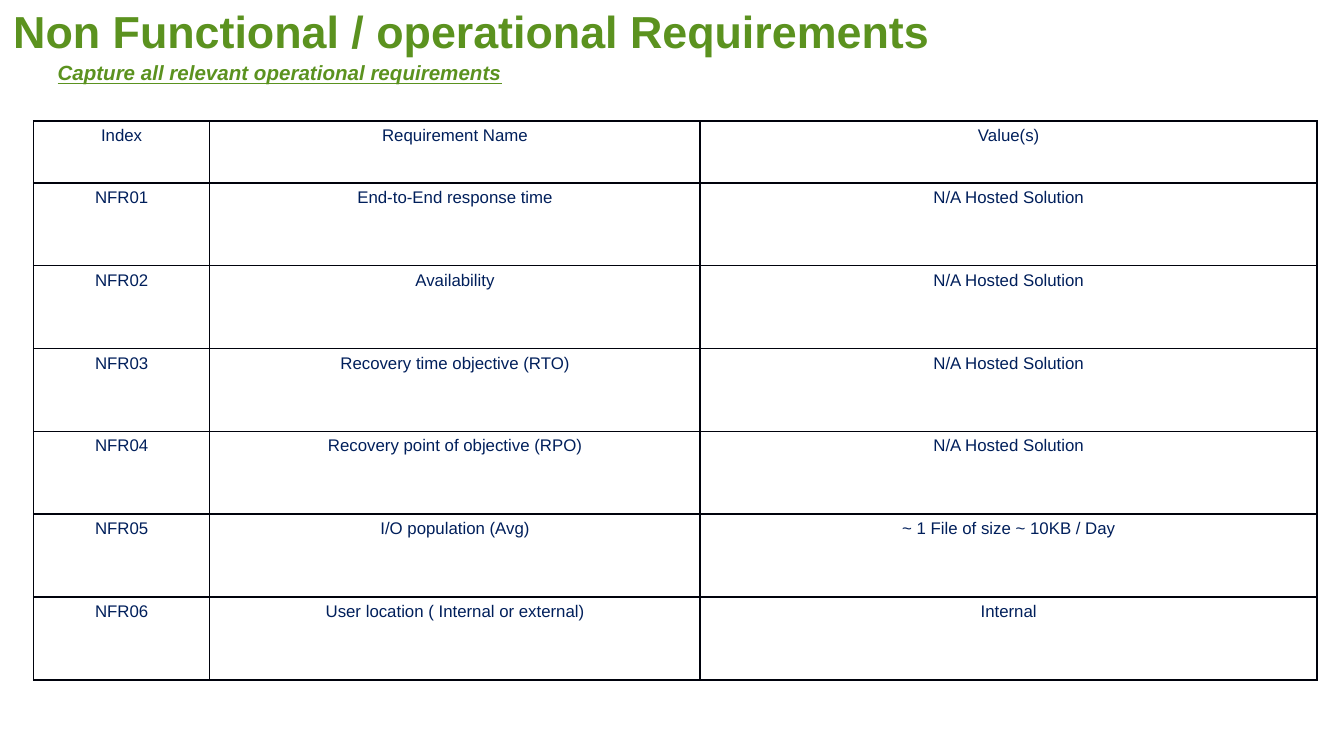
"""Build the non-functional requirements slide."""
from dataclasses import dataclass

from lxml.etree import SubElement
from pptx import Presentation
from pptx.dml.color import RGBColor
from pptx.enum.text import MSO_AUTO_SIZE, PP_ALIGN
from pptx.oxml.ns import qn
from pptx.util import Inches, Pt

GREEN = RGBColor(0x5B, 0x92, 0x1F)
NAVY = RGBColor(0x00, 0x1F, 0x5B)
BORDER = RGBColor(0x00, 0x02, 0x0C)
FONT = "Arial"
COLUMN_WIDTHS = (1.31, 3.65, 4.59)
TABLE_HEIGHT, HEADER_HEIGHT = 4.16, 0.46
HOSTED = "N/A Hosted Solution"


@dataclass(frozen=True)
class Heading:
    text: str
    left: float
    top: float
    width: float
    height: float
    size: int
    emphasis: bool = False


@dataclass(frozen=True)
class Requirement:
    name: str
    value: str = HOSTED


HEADINGS = (
    Heading("Non Functional / operational Requirements", 0, -0.02, 7.58, 0.5, 24),
    Heading("Capture all relevant operational requirements", 0.33, 0.4, 8, 0.29, 11, True),
)
REQUIREMENTS = (
    Requirement("End-to-End response time"),
    Requirement("Availability"),
    Requirement("Recovery time objective (RTO)"),
    Requirement("Recovery point of objective (RPO)"),
    Requirement("I/O population (Avg)", "~ 1 File of size ~ 10KB / Day"),
    Requirement("User location ( Internal or external)", "Internal"),
)


def add_run(p, text: str, size: int, color: RGBColor):
    r = p.add_run()
    r.text = text
    r.font.name = FONT
    r.font.size = Pt(size)
    r.font.color.rgb = color
    return r


def add_heading(s, heading: Heading) -> None:
    box = s.shapes.add_textbox(Inches(heading.left), Inches(heading.top),
                               Inches(heading.width), Inches(heading.height))
    tf = box.text_frame
    tf.word_wrap = True
    tf.auto_size = MSO_AUTO_SIZE.SHAPE_TO_FIT_TEXT
    r = add_run(tf.paragraphs[0], heading.text, heading.size, GREEN)
    r.font.bold = True
    if heading.emphasis:
        r.font.italic = True
        r.font.underline = True


def add_borders(cell) -> None:
    properties = cell._tc.get_or_add_tcPr()
    for side in ("a:lnL", "a:lnR", "a:lnT", "a:lnB"):
        line = SubElement(properties, qn(side), w=str(Pt(1)))
        fill = SubElement(line, qn("a:solidFill"))
        SubElement(fill, qn("a:srgbClr"), val=str(BORDER))


def fill_cell(cell, text: str) -> None:
    add_borders(cell)
    cell.fill.background()
    cell.margin_left = cell.margin_right = Inches(0.1)
    cell.margin_top = cell.margin_bottom = Inches(0.04)
    p = cell.text_frame.paragraphs[0]
    p.alignment = PP_ALIGN.CENTER
    add_run(p, text, 9, NAVY)


def add_requirements_table(s, requirements: tuple[Requirement, ...]) -> None:
    rows = [("Index", "Requirement Name", "Value(s)")]
    rows += [(f"NFR{i:02}", req.name, req.value) for i, req in enumerate(requirements, 1)]
    row_height = (TABLE_HEIGHT - HEADER_HEIGHT) / len(requirements)
    heights = [HEADER_HEIGHT] + [row_height] * len(requirements)
    table = s.shapes.add_table(len(rows), len(COLUMN_WIDTHS), Inches(0.25), Inches(0.9),
                               Inches(sum(COLUMN_WIDTHS)), Inches(TABLE_HEIGHT)).table
    table.first_row = table.horz_banding = False
    for column, width in zip(table.columns, COLUMN_WIDTHS):
        column.width = Inches(width)
    for row, height, texts in zip(table.rows, heights, rows):
        row.height = Inches(height)
        for cell, text in zip(row.cells, texts):
            fill_cell(cell, text)


def main() -> None:
    prs = Presentation()
    prs.slide_width = Inches(10)
    prs.slide_height = prs.slide_width * 9 // 16
    s = prs.slides.add_slide(prs.slide_layouts[6])
    for heading in HEADINGS:
        add_heading(s, heading)
    add_requirements_table(s, REQUIREMENTS)
    prs.save("out.pptx")


if __name__ == "__main__":
    main()
